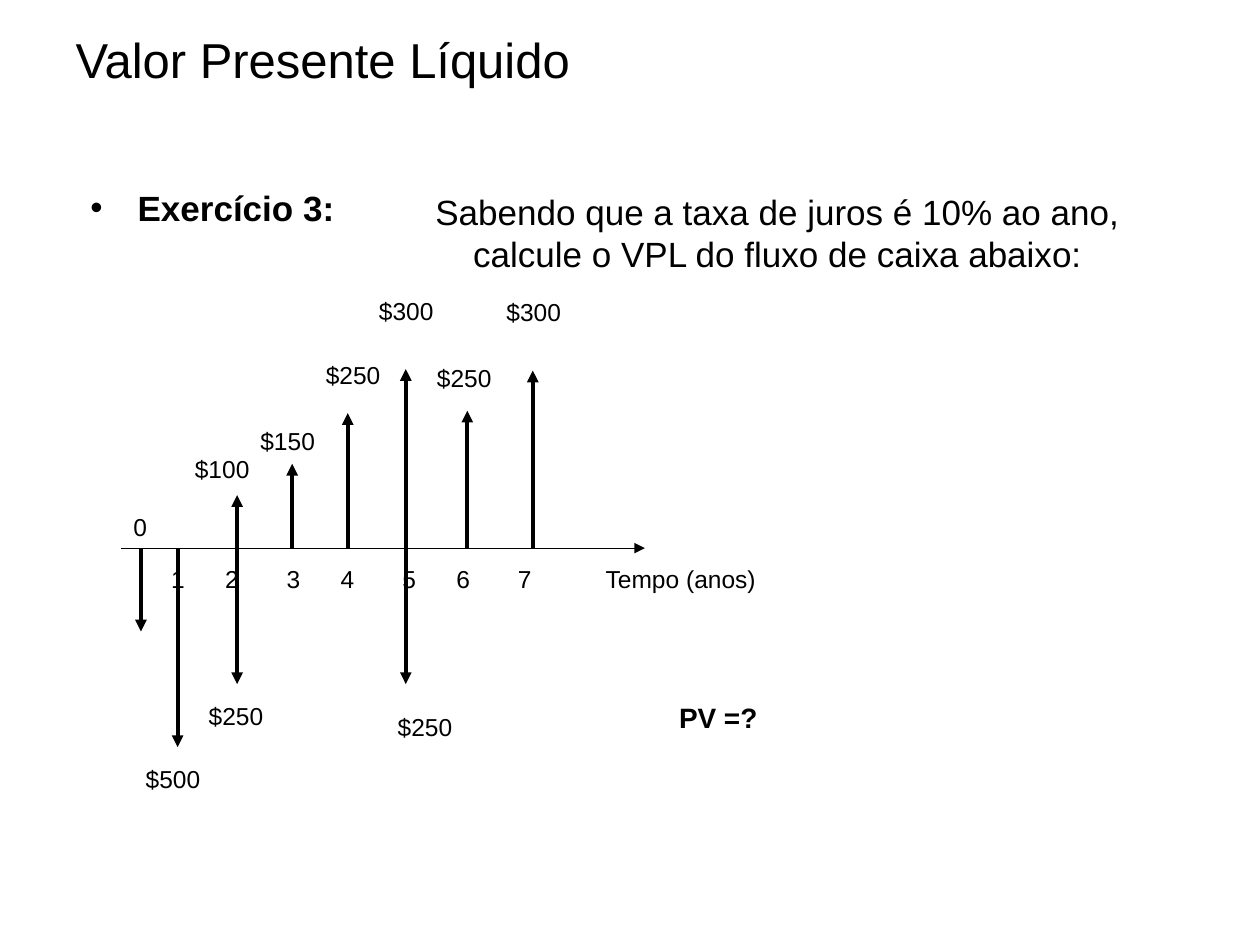
"""Build the net present value exercise slide with its cash flow diagram."""
from dataclasses import dataclass

from lxml.etree import SubElement
from pptx import Presentation
from pptx.dml.color import RGBColor
from pptx.enum.shapes import MSO_CONNECTOR
from pptx.enum.text import MSO_ANCHOR, MSO_AUTO_SIZE, PP_ALIGN
from pptx.oxml.ns import qn
from pptx.shapes.base import BaseShape
from pptx.slide import Slide
from pptx.util import Cm, Pt


@dataclass(frozen=True)
class Theme:
    face: str = "Arial"
    ink: RGBColor = RGBColor(0, 0, 0)
    head: int = 28
    lead: int = 20
    ask: int = 16
    note: int = 14
    thin: float = 0.75
    thick: float = 2.25


@dataclass(frozen=True)
class Box:
    left: float
    top: float
    width: float
    height: float


@dataclass(frozen=True)
class Flow:
    x: float
    tip: float
    text: str
    left: float
    top: float


THEME = Theme()
AXIS = 11.05
START, END = 2.44, 13.0
LABEL = (1.7, 0.84)
STEPS = (1.09, 1.24)
FLOWS = [
    Flow(3.58, 15.06, "$500", 2.64, 15.27),
    Flow(4.78, 9.98, "$100", 3.63, 9.02),
    Flow(4.78, 13.79, "$250", 3.91, 14.0),
    Flow(5.89, 9.35, "$150", 4.95, 8.46),
    Flow(7.01, 8.33, "$250", 6.27, 7.14),
    Flow(8.18, 7.44, "$300", 7.34, 5.84),
    Flow(8.18, 13.79, "$250", 7.72, 14.22),
    Flow(9.42, 8.28, "$250", 8.51, 7.19),
    Flow(10.74, 7.47, "$300", 9.91, 5.87),
]


def place(shape: BaseShape, box: Box) -> None:
    """Move and size a shape."""
    shape.left, shape.top = Cm(box.left), Cm(box.top)
    shape.width, shape.height = Cm(box.width), Cm(box.height)


def write(shape: BaseShape, text: str, size: int, bold: bool = False,
          align: PP_ALIGN = PP_ALIGN.LEFT, bullet: str = "",
          tabs: tuple[float, ...] = ()) -> None:
    """Fill a shape with one formatted paragraph."""
    frame = shape.text_frame
    frame.word_wrap = True
    frame.auto_size = MSO_AUTO_SIZE.NONE
    frame.text = text
    para = frame.paragraphs[0]
    para.alignment = align
    para.space_before = Pt(0)
    props = para._p.get_or_add_pPr()
    if bullet:
        props.set("marL", str(Cm(0.95)))
        props.set("indent", str(-Cm(0.95)))
        SubElement(props, qn("a:buFont"), typeface=THEME.face)
        SubElement(props, qn("a:buChar"), char=bullet)
    if tabs:
        stops = SubElement(props, qn("a:tabLst"))
        for pos in tabs:
            SubElement(stops, qn("a:tab"), pos=str(Cm(pos)), algn="l")
    font = para.font
    font.name, font.size, font.bold = THEME.face, Pt(size), bold
    font.color.rgb = THEME.ink


def label(slide: Slide, text: str, box: Box, size: int = THEME.note,
          bold: bool = False, align: PP_ALIGN = PP_ALIGN.LEFT,
          tabs: tuple[float, ...] = ()) -> None:
    """Add a text box."""
    shape = slide.shapes.add_textbox(0, 0, 0, 0)
    place(shape, box)
    write(shape, text, size, bold, align, tabs=tabs)


def arrow(slide: Slide, x: float, y: float, to_x: float, to_y: float,
          width: float = THEME.thick) -> None:
    """Add a straight arrow."""
    line = slide.shapes.add_connector(
        MSO_CONNECTOR.STRAIGHT, Cm(x), Cm(y), Cm(to_x), Cm(to_y))
    line.line.color.rgb = THEME.ink
    line.line.width = Pt(width)
    SubElement(line.line._get_or_add_ln(), qn("a:tailEnd"), type="triangle")
    SubElement(line._element.spPr, qn("a:effectLst"))


def chart(slide: Slide) -> None:
    """Draw the time axis and its cash flows."""
    arrow(slide, START, AXIS, END, AXIS, THEME.thin)
    arrow(slide, 2.84, AXIS, 2.84, 12.73)
    label(slide, "0", Box(START, 10.19, 0.84, 0.84))
    tabs = tuple(n // 2 * sum(STEPS) + n % 2 * STEPS[0] for n in range(1, 7))
    years = "\t".join(str(n) for n in range(1, 8))
    label(slide, years, Box(3.2, 11.25, 8.89, 0.86), tabs=tabs)
    label(slide, "Tempo (anos)", Box(11.96, 11.25, 3.81, 0.84))
    for flow in FLOWS:
        arrow(slide, flow.x, AXIS, flow.x, flow.tip)
        label(slide, flow.text, Box(flow.left, flow.top, *LABEL),
              align=PP_ALIGN.CENTER)


def main() -> None:
    """Build and save the slide."""
    deck = Presentation()
    deck.slide_width, deck.slide_height = Cm(25.4), Cm(19.05)
    slide = deck.slides.add_slide(deck.slide_layouts[1])
    title, body = slide.placeholders
    place(title, Box(1.27, 0.2, 18.57, 1.7))
    write(title, "Valor Presente Líquido", THEME.head)
    title.text_frame.vertical_anchor = MSO_ANCHOR.BOTTOM
    place(body, Box(1.57, 3.63, 6.78, 1.27))
    write(body, "Exercício 3:", THEME.lead, bold=True, bullet="•")
    label(slide, "Sabendo que a taxa de juros é 10% ao ano, "
          "calcule o VPL do fluxo de caixa abaixo:",
          Box(7.52, 3.71, 16.31, 1.96), THEME.lead, align=PP_ALIGN.CENTER)
    chart(slide)
    label(slide, "PV =?", Box(13.44, 14.0, 2.97, 0.94), THEME.ask, bold=True)
    deck.save("out.pptx")


if __name__ == "__main__":
    main()
